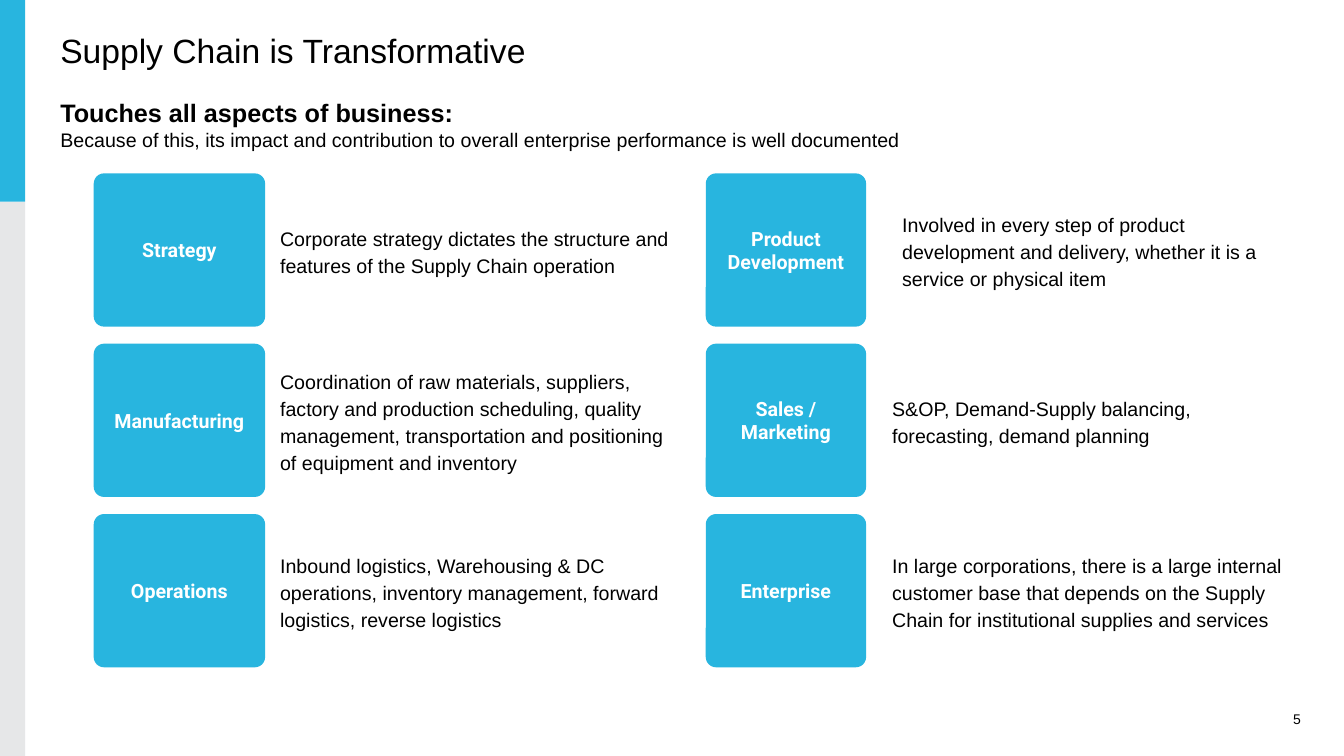
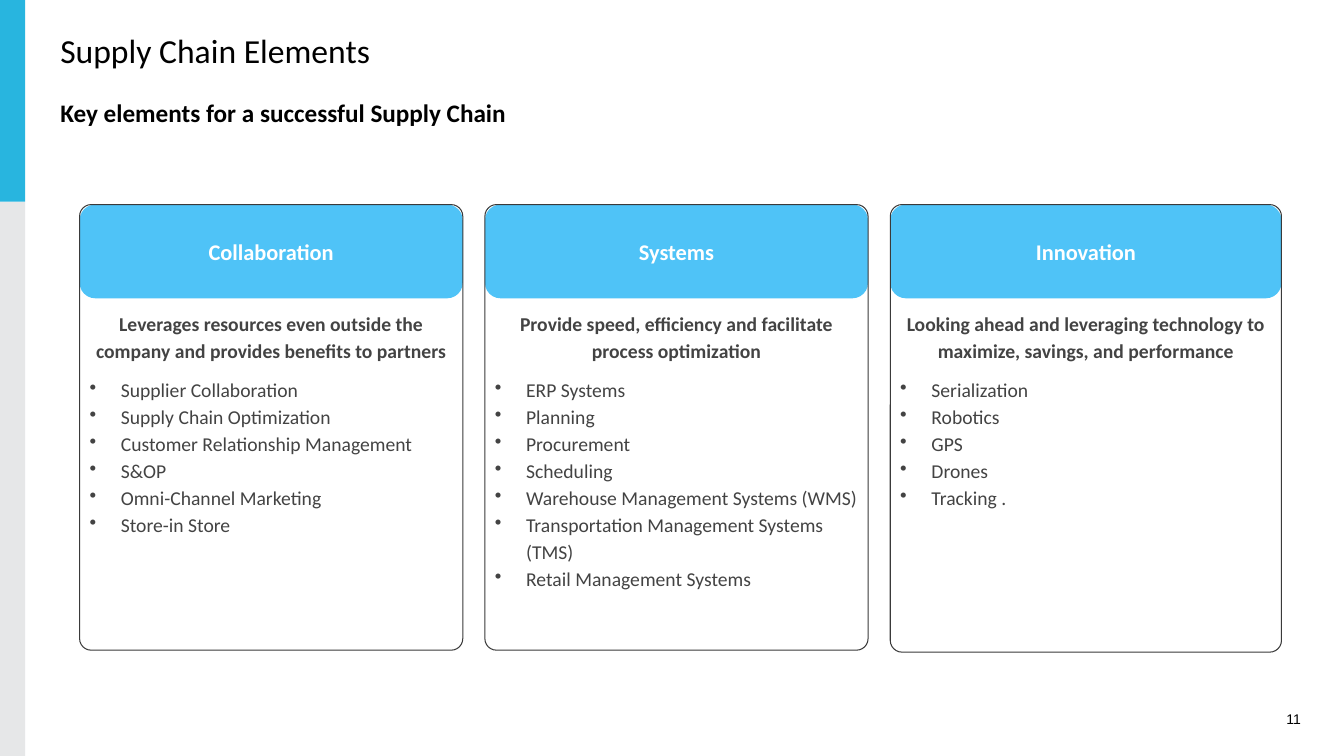
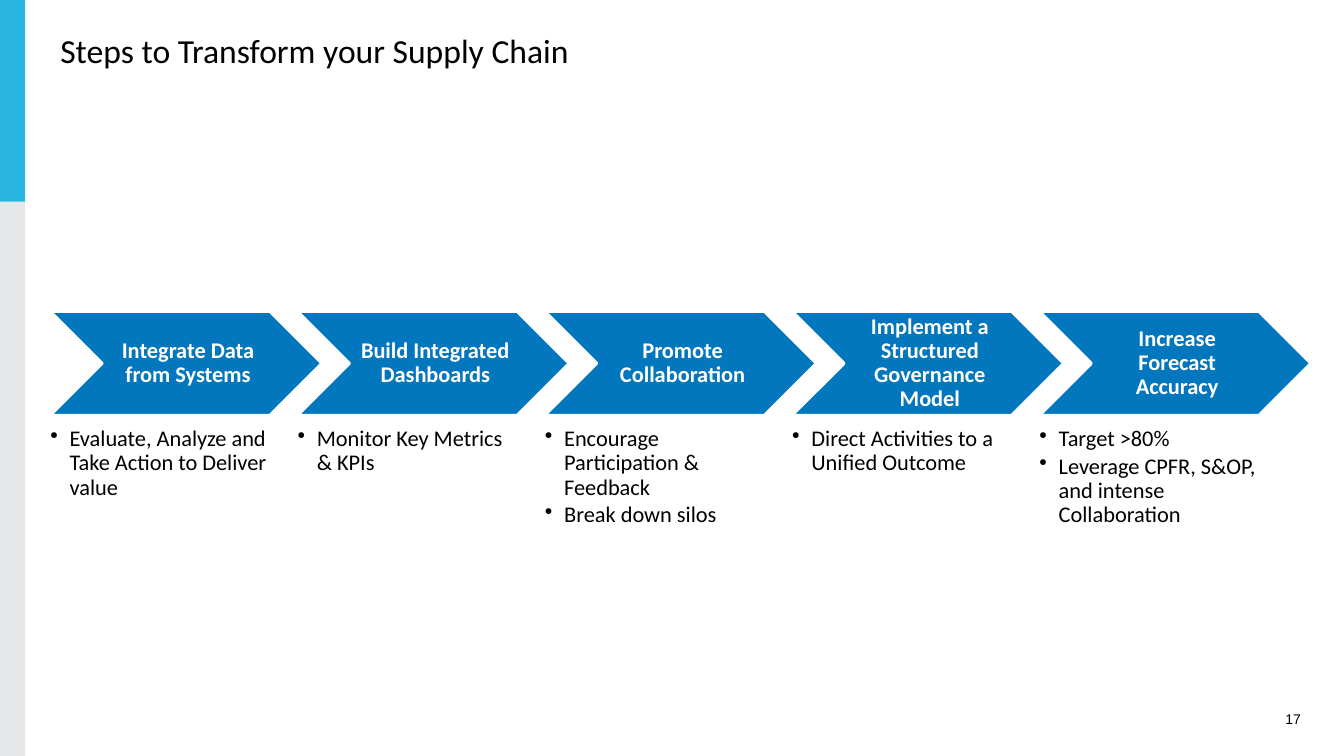
from dataclasses import dataclass
from typing import Optional

from lxml.etree import SubElement
from pptx import Presentation
from pptx.dml.color import RGBColor
from pptx.enum.shapes import MSO_SHAPE as Shape
from pptx.enum.text import MSO_ANCHOR as Anchor, PP_ALIGN as Align
from pptx.oxml.ns import qn
from pptx.util import Inches, Pt

COLORS = {
    "band": "28B5DF", "rail": "E6E7E8", "header": "4FC3F7", "step": "0277BD",
    "outline": "3A3A3A", "body": "434343", "black": "000000", "white": "FFFFFF",
}


@dataclass(frozen=True)
class Style:
    font: str
    size: float
    color: str = "black"
    bold: bool = False


@dataclass(frozen=True)
class Para:
    text: str
    style: Style
    align: Align = Align.LEFT
    spacing: float = 1.0
    before: float = 0
    after: float = 0
    hang: float = 0  # bullet indent in inches, 0 for no bullet


@dataclass(frozen=True)
class Area:
    label: str
    text: str
    text_left: float


@dataclass(frozen=True)
class Card:
    title: str
    lead: str
    items: tuple[str, ...]
    width: float = 3.8
    height: float = 4.42


@dataclass(frozen=True)
class Step:
    title: str
    items: tuple[str, ...]


def rgb(name: str) -> RGBColor:
    return RGBColor.from_string(COLORS[name])


def write(tf, paras: list[Para], anchor=Anchor.TOP, insets=(0.1, 0.05, 0.1, 0.05)) -> None:
    """Fill a text frame; insets run left, top, right, bottom."""
    tf.word_wrap = True
    tf.vertical_anchor = anchor
    tf.margin_left, tf.margin_top, tf.margin_right, tf.margin_bottom = map(Inches, insets)
    for i, para in enumerate(paras):
        p = tf.add_paragraph() if i else tf.paragraphs[0]
        if para.hang:
            pPr = p._p.get_or_add_pPr()
            pPr.set("marL", str(Inches(para.hang)))
            pPr.set("indent", str(-Inches(para.hang)))
            SubElement(pPr, qn("a:buChar")).set("char", "•")
        p.alignment = para.align
        p.line_spacing = para.spacing
        p.space_before, p.space_after = Pt(para.before), Pt(para.after)
        r = p.add_run()
        r.text = para.text
        r.font.name, r.font.size = para.style.font, Pt(para.style.size)
        r.font.bold = para.style.bold
        r.font.color.rgb = rgb(para.style.color)


def add_text(s, box: tuple, paras: list[Para], **layout) -> None:
    write(s.shapes.add_textbox(*map(Inches, box)).text_frame, paras, **layout)


def add_box(s, kind: Shape, box: tuple, fill: Optional[str] = None,
            line: Optional[str] = None, width: float = 0.75, adj: Optional[float] = None):
    sp = s.shapes.add_shape(kind, *map(Inches, box))
    sp.shadow.inherit = False
    if adj is not None:
        sp.adjustments[0] = adj
    if fill:
        sp.fill.solid()
        sp.fill.fore_color.rgb = rgb(fill)
    else:
        sp.fill.background()
    if line:
        sp.line.color.rgb = rgb(line)
        sp.line.width = Pt(width)
    else:
        sp.line.fill.background()
    return sp


def base_slide(prs, title: str, number: int, font: str, heading: str = "", note: str = ""):
    """Blank slide with side band, title, optional heading and page number."""
    s = prs.slides.add_slide(prs.slide_layouts[6])
    add_box(s, Shape.RECTANGLE, (0, 2, 0.25, 5.5), "rail")
    add_box(s, Shape.RECTANGLE, (0, 0, 0.25, 2), "band")
    add_text(s, (0.5, 0.25, 12.5, 0.5), [Para(title, Style(font, 24))], anchor=Anchor.BOTTOM)
    intro = []
    if heading:
        intro.append(Para(heading, Style(font, 18, bold=True)))
    if note:
        intro.append(Para(note, Style(font, 14)))
    if intro:
        add_text(s, (0.5, 0.92, 12.5, 0.6), intro)
    add_text(s, (12.33, 7, 0.67, 0.25), [Para(str(number), Style("Arial", 10), Align.RIGHT)])
    return s


# Slide content
AREA_COLUMNS = (
    (0.93, 1.7, (
        Area("Strategy", "Corporate strategy dictates the structure and features of the "
             "Supply Chain operation", 2.68),
        Area("Manufacturing", "Coordination of raw materials, suppliers, factory and production "
             "scheduling, quality management, transportation and positioning of equipment "
             "and inventory", 2.68),
        Area("Operations", "Inbound logistics, Warehousing & DC operations, inventory "
             "management, forward logistics, reverse logistics", 2.68),
    )),
    (7, 1.59, (
        Area("Product Development", "Involved in every step of product development and "
             "delivery, whether it is a service or physical item", 8.85),
        Area("Sales / Marketing", "S&OP, Demand-Supply balancing, forecasting, demand planning",
             8.75),
        Area("Enterprise", "In large corporations, there is a large internal customer base that "
             "depends on the Supply Chain for institutional supplies and services", 8.75),
    )),
)

CARDS = (
    Card("Collaboration",
         "Leverages resources even outside the company and provides benefits to partners",
         ("Supplier Collaboration", "Supply Chain Optimization",
          "Customer Relationship Management", "S&OP", "Omni-Channel Marketing",
          "Store-in Store")),
    Card("Systems", "Provide speed, efficiency and facilitate process optimization",
         ("ERP Systems", "Planning", "Procurement", "Scheduling",
          "Warehouse Management Systems (WMS)", "Transportation Management Systems (TMS)",
          "Retail Management Systems")),
    Card("Innovation",
         "Looking ahead and leveraging technology to maximize, savings, and performance",
         ("Serialization", "Robotics", "GPS", "Drones", "Tracking ."), 3.88, 4.44),
)

STEPS = (
    Step("Integrate Data from Systems", ("Evaluate, Analyze and Take Action to Deliver value",)),
    Step("Build Integrated Dashboards", ("Monitor Key Metrics & KPIs",)),
    Step("Promote Collaboration", ("Encourage Participation & Feedback", "Break down silos")),
    Step("Implement a Structured Governance Model", ("Direct Activities to a Unified Outcome",)),
    Step("Increase Forecast Accuracy",
         ("Target >80%", "Leverage CPFR, S&OP, and intense Collaboration")),
)


def transformative_slide(prs) -> None:
    s = base_slide(prs, "Supply Chain is Transformative", 5, "Arial",
                   "Touches all aspects of business:",
                   "Because of this, its impact and contribution to overall enterprise "
                   "performance is well documented")
    top, height, pitch = 1.72, 1.52, 1.69
    label_style = Style("Roboto", 14, "white", True)
    for left, width, areas in AREA_COLUMNS:
        for row, area in enumerate(areas):
            y = top + row * pitch
            sp = add_box(s, Shape.ROUNDED_RECTANGLE, (left, y, width, height), "band", adj=0.067)
            write(sp.text_frame, [Para(area.label, label_style, Align.CENTER)], Anchor.MIDDLE)
            add_text(s, (area.text_left, y, 4.07, height),
                     [Para(area.text, Style("Arial", 14), spacing=1.15)],
                     anchor=Anchor.MIDDLE, insets=(0.1,) * 4)


def elements_slide(prs) -> None:
    s = base_slide(prs, "Supply Chain Elements", 11, "Calibri",
                   "Key elements for a successful Supply Chain")
    top, header, pitch = 2.03, 0.93, 4.02
    title_style = Style("Calibri", 16, "white", True)
    lead_style, item_style = (Style("Calibri", 14, "body", bold) for bold in (True, False))
    for i, card in enumerate(CARDS):
        x = 0.79 + i * pitch
        sp = add_box(s, Shape.ROUNDED_RECTANGLE, (x, top, card.width, header), "header")
        write(sp.text_frame, [Para(card.title, title_style, Align.CENTER)], Anchor.MIDDLE)
        paras = [Para(card.lead, lead_style, Align.CENTER, 1.15)]
        paras += [Para(item, item_style, spacing=1.15, before=0 if n else 8.5, hang=0.31)
                  for n, item in enumerate(card.items)]
        add_text(s, (x, top + header, card.width, 2.56), paras, insets=(0.1,) * 4)
        add_box(s, Shape.ROUNDED_RECTANGLE, (x, top, card.width, card.height),
                line="outline", adj=0.03)


def steps_slide(prs) -> None:
    s = base_slide(prs, "Steps to Transform your Supply Chain", 17, "Calibri")
    left, right, width, height = 0.5, 13, 2.69, 1.03
    pitch = (right - left - width) / (len(STEPS) - 1)
    title_style = Style("Calibri", 16, "white", True)
    for i, step in enumerate(STEPS):
        x = left + i * pitch
        sp = add_box(s, Shape.CHEVRON, (x, 3.09, width, height), "step", "white", 2, 0.5)
        write(sp.text_frame, [Para(step.title, title_style, Align.CENTER, 0.9)],
              Anchor.MIDDLE, (0.07, 0.02, 0.03, 0.02))
        add_text(s, (x, 4.24, 2.15, height),
                 [Para(item, Style("Calibri", 16), spacing=0.9, after=2.4, hang=0.19)
                  for item in step.items], insets=(0,) * 4)


def main() -> None:
    prs = Presentation()
    prs.slide_width, prs.slide_height = Inches(13.33), Inches(7.5)
    transformative_slide(prs)
    elements_slide(prs)
    steps_slide(prs)
    prs.save("out.pptx")


if __name__ == "__main__":
    main()
